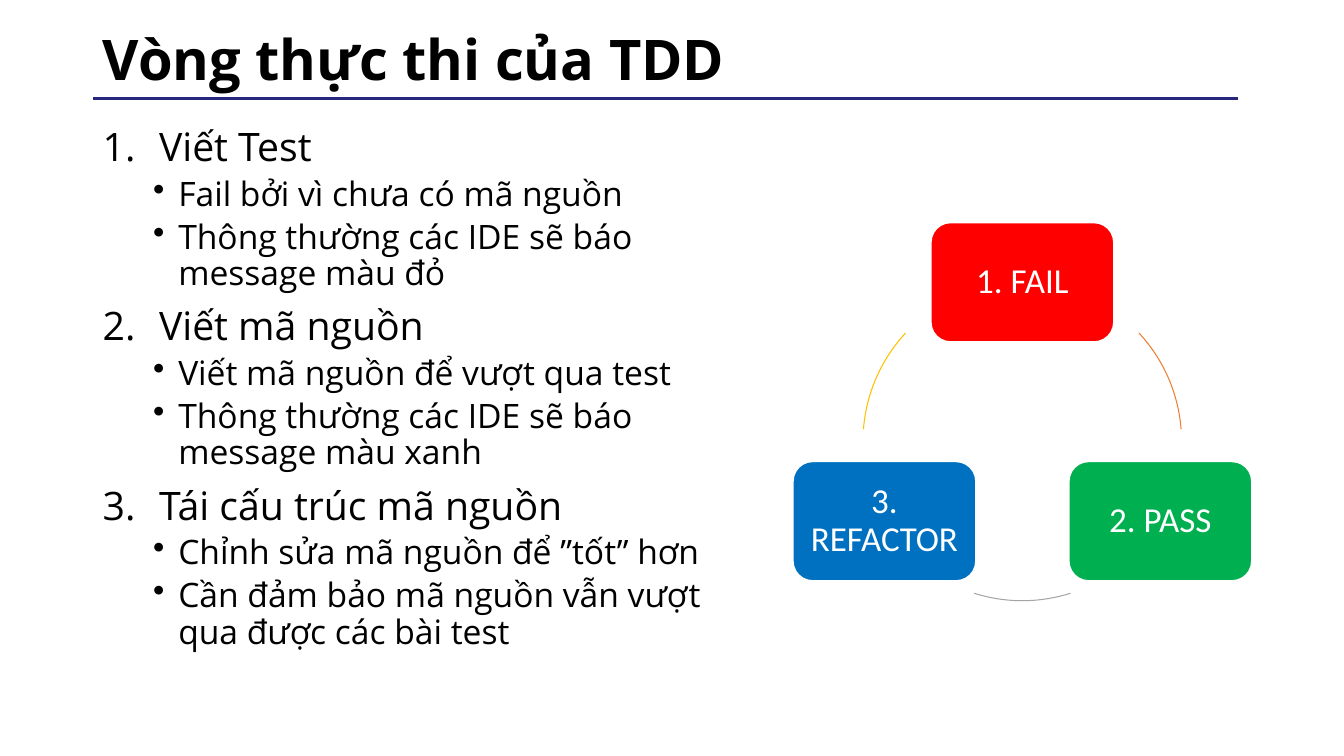
from math import cos, radians, sin

from lxml.etree import SubElement
from pptx import Presentation
from pptx.dml.color import RGBColor
from pptx.enum.shapes import MSO_CONNECTOR as Connector, MSO_SHAPE as Shape
from pptx.enum.text import MSO_ANCHOR as Anchor, MSO_AUTO_SIZE as AutoSize, PP_ALIGN as Align
from pptx.oxml.ns import qn
from pptx.util import Inches, Pt

COLORS = {
    "text": "000000", "white": "FFFFFF", "rule": "272780",
    "fail": "FF0000", "pass": "00B050", "refactor": "0070C0",
    "orange": "ED7D31", "gray": "A5A5A5", "gold": "FFC000",
}

STEPS = [
    ("Viết Test", ["Fail bởi vì chưa có mã nguồn",
                   "Thông thường các IDE sẽ báo message màu đỏ"]),
    ("Viết mã nguồn", ["Viết mã nguồn để vượt qua test",
                       "Thông thường các IDE sẽ báo message màu xanh"]),
    ("Tái cấu trúc mã nguồn", ["Chỉnh sửa mã nguồn để ”tốt” hơn",
                               "Cần đảm bảo mã nguồn vẫn vượt qua được các bài test"]),
]

# Cycle: label, box colour, arc colour, arc start and end in degrees
STAGES = [
    ("1. FAIL", "fail", "orange", 317.1, 355.6),
    ("2. PASS", "pass", "gray", 72.4, 107.6),
    ("3. REFACTOR", "refactor", "gold", 184.4, 222.9),
]
CENTER_X, CENTER_Y, RADIUS = 10.14, 4.38, 1.58
BOX_WIDTH, BOX_HEIGHT = 1.82, 1.19

# Level: text size, hanging indent, space before, bullet
LEVELS = [
    {"size": 28, "margin": 0.56, "hang": 0.56, "before": 10,
     "bullet": ("a:buAutoNum", {"type": "arabicPeriod"})},
    {"size": 24, "margin": 0.75, "hang": 0.25, "before": 5,
     "bullet": ("a:buChar", {"char": "•"})},
]


def rgb(name):
    return RGBColor.from_string(COLORS[name])


def set_attributes(target, values):
    for name, value in values.items():
        setattr(target, name, value)


def format_frame(frame, anchor, side=0.1, top=0.05):
    set_attributes(frame, {
        "word_wrap": True, "auto_size": AutoSize.NONE, "vertical_anchor": anchor,
        "margin_left": Inches(side), "margin_right": Inches(side),
        "margin_top": Inches(top), "margin_bottom": Inches(top),
    })


def write(paragraph, text, size, color="text", font="Open Sans", bold=False,
          align=Align.LEFT, before=0):
    set_attributes(paragraph, {"alignment": align, "line_spacing": 0.9,
                               "space_before": Pt(before)})
    run = paragraph.add_run()
    run.text = text
    set_attributes(run.font, {"name": font, "size": Pt(size), "bold": bold})
    run.font.color.rgb = rgb(color)


def add_title(slide, text):
    title = slide.shapes.title
    set_attributes(title, {"left": Inches(0.92), "top": Inches(0.17),
                           "width": Inches(11.5), "height": Inches(0.89)})
    format_frame(title.text_frame, Anchor.MIDDLE)
    write(title.text_frame.paragraphs[0], text, 40, bold=True)


def add_rule(slide):
    rule = slide.shapes.add_connector(Connector.STRAIGHT, Inches(12.28), Inches(0.98),
                                      Inches(0.92), Inches(0.98))
    rule.line.color.rgb = rgb("rule")
    rule.line.width = Pt(2)
    SubElement(rule._element.spPr, qn("a:effectLst"))


def add_bullet(paragraph, level):
    properties = paragraph._p.get_or_add_pPr()
    properties.set("marL", str(Inches(level["margin"])))
    properties.set("indent", str(-Inches(level["hang"])))
    color = SubElement(properties, qn("a:buClr"))
    SubElement(color, qn("a:srgbClr"), val=COLORS["text"])
    tag, attributes = level["bullet"]
    SubElement(properties, qn(tag), **attributes)


def add_steps(slide):
    box = slide.shapes.add_textbox(Inches(0.92), Inches(1.22), Inches(6.74), Inches(5.53))
    frame = box.text_frame
    format_frame(frame, Anchor.TOP)
    lines = [line for step, details in STEPS
             for line in [(step, 0), *((detail, 1) for detail in details)]]
    for index, (text, depth) in enumerate(lines):
        paragraph = frame.add_paragraph() if index else frame.paragraphs[0]
        level = LEVELS[depth]
        paragraph.level = depth
        write(paragraph, text, level["size"], before=level["before"] if index else 0)
        add_bullet(paragraph, level)


def add_stage(slide, label, color, angle):
    left = CENTER_X + RADIUS * cos(radians(angle)) - BOX_WIDTH / 2
    top = CENTER_Y + RADIUS * sin(radians(angle)) - BOX_HEIGHT / 2
    box = slide.shapes.add_shape(Shape.ROUNDED_RECTANGLE, Inches(left), Inches(top),
                                 Inches(BOX_WIDTH), Inches(BOX_HEIGHT))
    box.shadow.inherit = False
    box.fill.solid()
    box.fill.fore_color.rgb = rgb(color)
    box.line.color.rgb = rgb("white")
    box.line.width = Pt(1.5)
    format_frame(box.text_frame, Anchor.MIDDLE, top=0.1)
    write(box.text_frame.paragraphs[0], label, 25, "white", "Calibri", align=Align.CENTER)


def add_arc(slide, color, start, end):
    arc = slide.shapes.add_shape(Shape.ARC, Inches(CENTER_X - RADIUS), Inches(CENTER_Y - RADIUS),
                                 Inches(2 * RADIUS), Inches(2 * RADIUS))
    arc.shadow.inherit = False
    arc.fill.background()
    arc.line.color.rgb = rgb(color)
    arc.line.width = Pt(0.75)
    # Angles are stored in 60000ths of a degree, adjustments in 100000ths
    for index, angle in enumerate((start, end)):
        arc.adjustments[index] = angle * 0.6


def main():
    presentation = Presentation()
    presentation.slide_width = Inches(13.33)
    presentation.slide_height = Inches(7.5)
    slide = presentation.slides.add_slide(presentation.slide_layouts[5])

    # Heading and list
    add_rule(slide)
    add_title(slide, "Vòng thực thi của TDD")
    add_steps(slide)

    # Cycle, clockwise from the top
    for index, (label, box_color, arc_color, start, end) in enumerate(STAGES):
        add_stage(slide, label, box_color, -90 + index * 360 / len(STAGES))
        add_arc(slide, arc_color, start, end)

    presentation.save("out.pptx")


if __name__ == "__main__":
    main()
